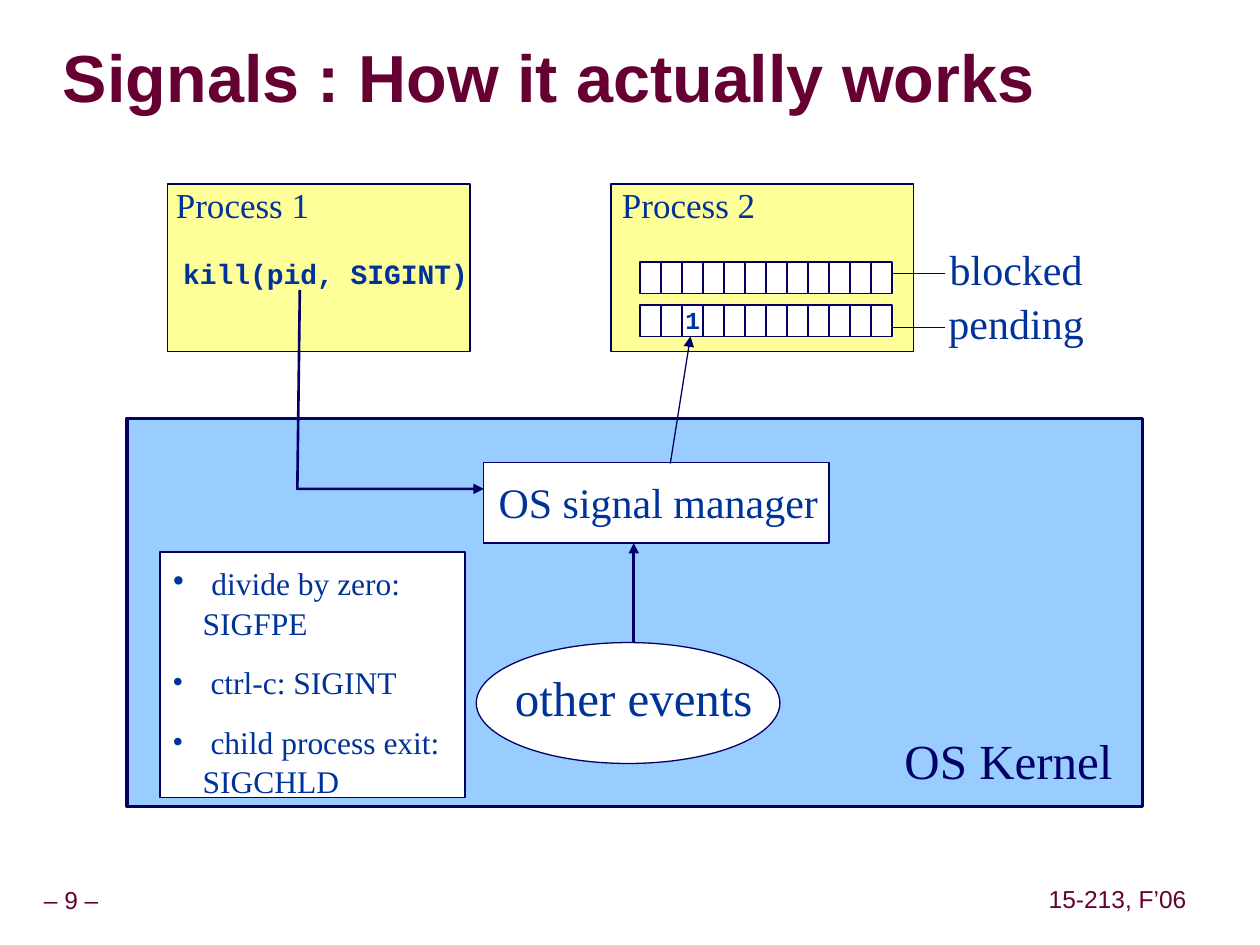
from lxml import etree
from pptx import Presentation
from pptx import util as u
from pptx.dml.color import RGBColor
from pptx.enum import shapes, text
from pptx.oxml import ns

COLORS = {"navy": "000066", "ink": "003399", "wine": "660033", "kernel": "99CCFF",
          "process": "FFFF99", "white": "FFFFFF", "shadow": "969696"}
SERIF, SANS, MONO = "Times New Roman", "Arial", "Courier New"
BITS = 12


def rgb(name):
    """Return the named colour."""
    return RGBColor.from_string(COLORS[name])


def child(parent, tag, **attributes):
    """Append a DrawingML element and return it."""
    return etree.SubElement(parent, ns.qn(tag), attributes)


def style_font(font, size, color="ink", name=SERIF, bold=False):
    """Set the look of a run's font."""
    font.size, font.name, font.bold = u.Pt(size), name, bold
    font.color.rgb = rgb(color)


def add_label(page, box, words, size, color="ink", name=SERIF, bold=False,
              centred=True, inset=0.1, middle=False, spacing=1.0):
    """Add one line of text in a box and return its run."""
    label = page.shapes.add_textbox(*map(u.Inches, box))
    frame = label.text_frame
    frame.text = words
    frame.word_wrap = not centred
    frame.margin_left = frame.margin_right = u.Inches(inset)
    frame.margin_top = frame.margin_bottom = u.Inches(min(inset, 0.05))
    frame.vertical_anchor = text.MSO_ANCHOR.MIDDLE if middle else text.MSO_ANCHOR.TOP
    para = frame.paragraphs[0]
    para.alignment = text.PP_ALIGN.CENTER if centred else text.PP_ALIGN.LEFT
    para.line_spacing = spacing
    span = para.runs[0]
    style_font(span.font, size, color, name, bold)
    return span


def add_panel(page, box, fill, weight=0.75, kind=shapes.MSO_SHAPE.RECTANGLE):
    """Add a filled, outlined shape."""
    panel = page.shapes.add_shape(kind, *map(u.Inches, box))
    panel.shadow.inherit = False
    panel.fill.solid()
    panel.fill.fore_color.rgb = rgb(fill)
    panel.line.color.rgb = rgb("navy")
    panel.line.width = u.Pt(weight)
    return panel


def style_line(shape, weight, arrow):
    """Set the stroke of a line and its arrowhead."""
    shape.line.color.rgb = rgb("navy")
    shape.line.width = u.Pt(weight)
    if arrow:
        child(shape.line._get_or_add_ln(), "a:tailEnd", type="triangle")


def add_line(page, start, end, weight=0.75, arrow=False):
    """Add a straight line between two points."""
    line = page.shapes.add_connector(shapes.MSO_CONNECTOR.STRAIGHT,
                                     *map(u.Inches, (*start, *end)))
    style_line(line, weight, arrow)
    child(line._element.spPr, "a:effectLst")


def add_title(page, box):
    """Add the slide title with its text shadow."""
    span = add_label(page, box, "Signals : How it actually works", 38, "wine", SANS,
                     True, centred=False, inset=0, middle=True, spacing=0.87)
    effects = etree.Element(ns.qn("a:effectLst"))
    shadow = child(effects, "a:outerShdw", dist="38100", dir="2700000")
    child(shadow, "a:srgbClr", val=COLORS["shadow"])
    span.font._element.find(ns.qn("a:solidFill")).addnext(effects)


def add_kernel(page, box):
    """Add the kernel area with its name in the lower right corner."""
    left, top, width, height = box
    add_panel(page, box, "kernel", 2)
    add_label(page, (left + width - 1.99, top + height - 0.65, 1.89, 0.57),
              "OS Kernel", 28, "navy", centred=False)


def add_process(page, box, words, shift):
    """Add a process box with its name at the upper left."""
    left, top = box[:2]
    add_panel(page, box, "process")
    add_label(page, (left + shift, top - 0.05, 1.29, 0.44), words, 20)


def add_bit_vector(page, box, words, lead):
    """Add a row of bit cells with a lead line to its name."""
    left, top, width, height = box
    right = left + width
    add_panel(page, box, "white")
    for index in range(1, BITS):
        x = left + index * width / BITS
        add_line(page, (x, top), (x, top + height))
    add_line(page, (right, top + lead), (right + 0.42, top + lead))
    add_label(page, (right + 0.32, top + lead - 0.29, 1.33, 0.5), words, 24)


def add_manager(page, box):
    """Add the signal manager box."""
    left, top = box[:2]
    add_panel(page, box, "white")
    add_label(page, (left - 0.14, top + 0.06, 3.05, 0.5), "OS signal manager", 24)


def add_events(page, box):
    """Add the ellipse of other events and its arrow upwards."""
    left, top = box[:2]
    add_panel(page, box, "white", kind=shapes.MSO_SHAPE.OVAL)
    add_label(page, (left + 0.02, top + 0.15, 2.46, 0.57), "other events", 28)
    add_line(page, (left + 1.25, top), (left + 1.25, top - 0.79), 1.5, True)


def add_kill_call(page, box):
    """Add the kill call and its bent arrow to the signal manager."""
    left, top = box[:2]
    add_label(page, box, "kill(pid, SIGINT)", 16, name=MONO, bold=True)
    bend = [(left + x, top + y) for x, y in ((1.13, 0.31), (1.11, 1.89), (2.59, 1.89))]
    points = [tuple(map(u.Inches, point)) for point in bend]
    builder = page.shapes.build_freeform(*points[0])
    builder.add_line_segments(points[1:], close=False)
    arrow = builder.convert_to_shape()
    arrow.shadow.inherit = False
    arrow.fill.background()
    style_line(arrow, 1.5, True)


def add_event_list(page, box):
    """Add the bulleted list of events and their signals."""
    frame = add_panel(page, box, "white").text_frame
    frame.word_wrap = True
    frame.vertical_anchor = text.MSO_ANCHOR.TOP
    items = ([(" ", 20), ("divide by zero: SIGFPE", 18)],
             [(" ctrl-c: SIGINT", 18)],
             [(" child process exit: SIGCHLD", 18)])
    for index, item in enumerate(items):
        para = frame.add_paragraph() if index else frame.paragraphs[0]
        para.alignment = text.PP_ALIGN.LEFT
        para.line_spacing = 1.05
        if index:
            para.space_before = u.Pt(11.2)
        props = para._p.get_or_add_pPr()
        props.set("marL", str(u.Inches(0.24)))
        props.set("indent", str(-u.Inches(0.24)))
        child(child(props, "a:buClr"), "a:srgbClr", val=COLORS["ink"])
        child(props, "a:buFont", typeface=SERIF)
        child(props, "a:buChar", char="•")
        for words, size in item:
            span = para.add_run()
            span.text = words
            style_font(span.font, size)


def add_footer(page, box, words):
    """Add one footer text."""
    add_label(page, box, words, 14, "wine", SANS, inset=0.05, middle=True, spacing=0.9)


def main():
    """Build the slide and save the deck."""
    deck = Presentation()
    deck.slide_width, deck.slide_height = u.Inches(10), u.Inches(7.5)
    page = deck.slides.add_slide(deck.slide_layouts[6])
    add_footer(page, (-0.09, 7, 1.31, 0.31), "– 9 –")
    add_footer(page, (8.27, 6.99, 1.2, 0.31), "15-213, F’06")
    add_title(page, (0.5, 0.33, 8.83, 0.63))
    add_kernel(page, (1.01, 3.32, 8.06, 3.08))
    add_process(page, (1.33, 1.46, 2.4, 1.33), "Process 1", -0.05)
    add_process(page, (4.85, 1.46, 2.4, 1.33), "Process 2", -0.03)
    add_bit_vector(page, (5.08, 2.08, 2, 0.25), "blocked", 0.09)
    add_bit_vector(page, (5.08, 2.42, 2, 0.25), "pending", 0.18)
    add_label(page, (5.34, 2.37, 0.31, 0.34), "1", 14, name=MONO, bold=True)
    add_events(page, (3.78, 5.1, 2.41, 0.96))
    add_manager(page, (3.84, 3.67, 2.74, 0.64))
    add_kill_call(page, (1.25, 1.99, 2.67, 0.37))
    add_line(page, (5.32, 3.68), (5.48, 2.67), arrow=True)
    add_event_list(page, (1.27, 4.38, 2.42, 1.95))
    deck.save("out.pptx")


if __name__ == "__main__":
    main()
